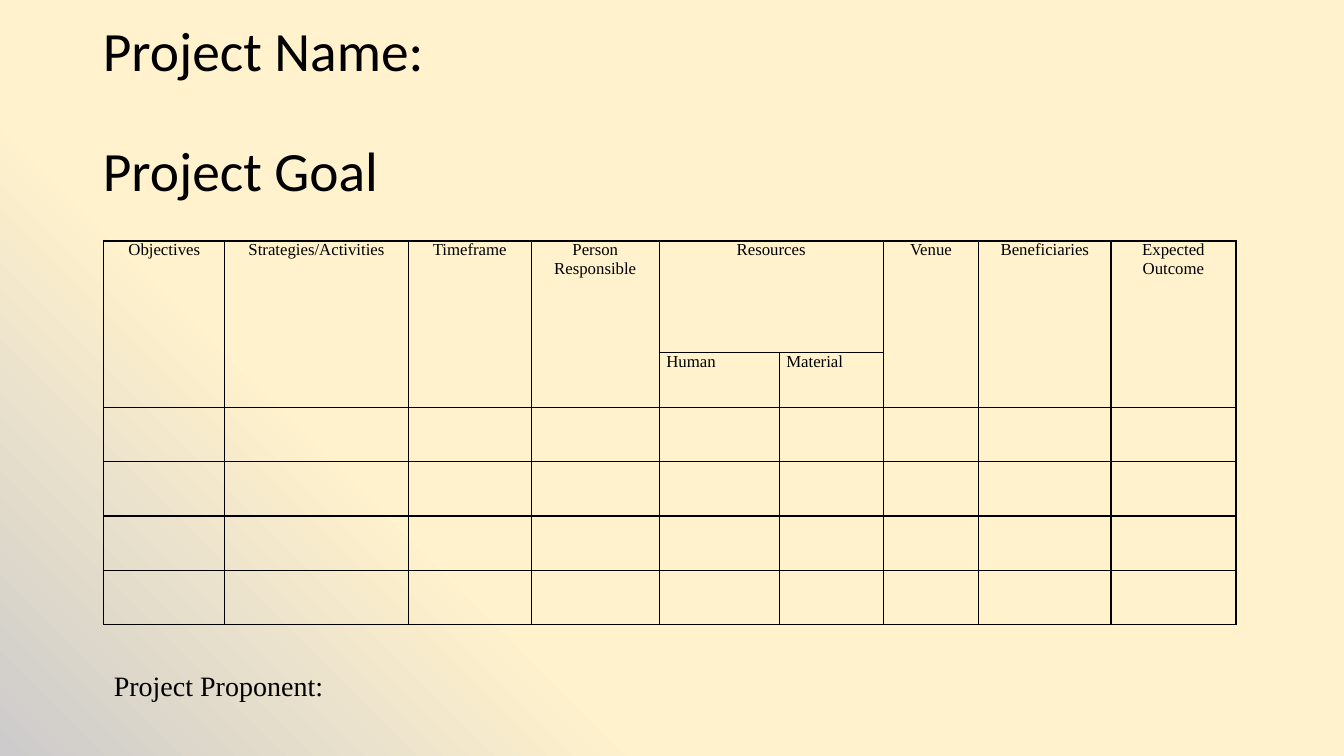
from dataclasses import dataclass

from lxml import etree
from pptx import Presentation
from pptx.dml.color import RGBColor
from pptx.enum import text
from pptx.oxml import ns
from pptx.util import Inches, Pt


@dataclass(frozen=True)
class Theme:
    """Colours, fonts and type sizes of the slide."""
    ink: str = "000000"
    cream: str = "FFF2CC"
    grey: str = "CDCBCB"
    title_font: str = "Calibri"
    body_font: str = "Times New Roman"
    title_size: float = 39.6
    table_size: float = 12
    footer_size: float = 20
    border_width: float = 1


THEME = Theme()
COLUMN_WIDTHS = [1.2, 1.82, 1.22, 1.27, 1.19, 1.03, 0.95, 1.31, 1.24]
ROW_HEIGHTS = [1.11] + [0.54] * 5
HEADINGS = {
    0: "Objectives", 1: "Strategies/Activities", 2: "Timeframe",
    3: "Person Responsible", 4: "Resources", 6: "Venue",
    7: "Beneficiaries", 8: "Expected Outcome",
}
RESOURCE_COLUMN = 4
RESOURCE_KINDS = ["Human", "Material"]


def style_runs(paragraph, font, size):
    """Apply font, size and ink colour to every run of a paragraph."""
    for run in paragraph.runs:
        run.font.name = font
        run.font.size = Pt(size)
        run.font.color.rgb = RGBColor.from_string(THEME.ink)


def paint_background(slide):
    """Fill the slide with a gradient that turns grey at the lower left."""
    fill = slide.background.fill
    fill.gradient()
    fill.gradient_angle = 225
    stops = [(0.69, THEME.cream), (1, THEME.grey)]
    for stop, (position, colour) in zip(fill.gradient_stops, stops):
        stop.position = position
        stop.color.rgb = RGBColor.from_string(colour)


def add_title(slide, lines):
    """Place the title lines, spaced one line apart."""
    title = slide.shapes.title
    title.left, title.top = Inches(0.92), Inches(0.4)
    title.width, title.height = Inches(11.5), Inches(1.45)
    frame = title.text_frame
    frame.text = "\n".join(lines)
    frame.word_wrap = True
    frame.auto_size = text.MSO_AUTO_SIZE.NONE
    frame.vertical_anchor = text.MSO_ANCHOR.MIDDLE
    for index, paragraph in enumerate(frame.paragraphs):
        paragraph.alignment = text.PP_ALIGN.LEFT
        paragraph.line_spacing = 0.9
        paragraph.space_before = Pt(43 if index else 0)
        style_runs(paragraph, THEME.title_font, THEME.title_size)


def outline_cell(cell):
    """Draw all four borders of a cell and leave it unfilled."""
    properties = cell._tc.get_or_add_tcPr()
    for side in ("a:lnL", "a:lnR", "a:lnT", "a:lnB"):
        line = etree.SubElement(properties, ns.qn(side), w=str(Pt(THEME.border_width)))
        solid = etree.SubElement(line, ns.qn("a:solidFill"))
        etree.SubElement(solid, ns.qn("a:srgbClr"), val=THEME.ink)
    cell.fill.background()


def write_cell(cell, wording, alignment):
    """Write a table heading into a cell."""
    cell.margin_left = cell.margin_right = Inches(0.07)
    cell.margin_top = cell.margin_bottom = 0
    cell.text_frame.text = wording
    paragraph = cell.text_frame.paragraphs[0]
    paragraph.alignment = alignment
    style_runs(paragraph, THEME.body_font, THEME.table_size)


def add_plan_table(slide):
    """Add the project plan grid with its two-level heading."""
    plan = slide.shapes.add_table(
        len(ROW_HEIGHTS), len(COLUMN_WIDTHS), Inches(1.03), Inches(2.39),
        Inches(sum(COLUMN_WIDTHS)), Inches(sum(ROW_HEIGHTS))).table
    plan.first_row = plan.horz_banding = False
    for column, width in zip(plan.columns, COLUMN_WIDTHS):
        column.width = Inches(width)
    for row, height in zip(plan.rows, ROW_HEIGHTS):
        row.height = Inches(height)
    for cell in plan.iter_cells():
        outline_cell(cell)
    for column, heading in HEADINGS.items():
        cell = plan.cell(0, column)
        if column == RESOURCE_COLUMN:
            cell.merge(plan.cell(0, column + 1))
        else:
            cell.merge(plan.cell(1, column))
        write_cell(cell, heading, text.PP_ALIGN.CENTER)
    for column, kind in enumerate(RESOURCE_KINDS, RESOURCE_COLUMN):
        write_cell(plan.cell(1, column), kind, text.PP_ALIGN.LEFT)


def add_proponent(slide):
    """Add the proponent line below the table."""
    proponent = slide.shapes.add_textbox(
        Inches(1.03), Inches(6.58), Inches(2.29), Inches(0.44))
    frame = proponent.text_frame
    frame.text = "Project Proponent:"
    frame.word_wrap = False
    frame.auto_size = text.MSO_AUTO_SIZE.SHAPE_TO_FIT_TEXT
    style_runs(frame.paragraphs[0], THEME.body_font, THEME.footer_size)


def main():
    """Build and save the project plan slide."""
    deck = Presentation()
    deck.slide_width, deck.slide_height = Inches(13.33), Inches(7.5)
    slide = deck.slides.add_slide(deck.slide_layouts.get_by_name("Title Only"))
    paint_background(slide)
    add_title(slide, ["Project Name:", "Project Goal"])
    add_plan_table(slide)
    add_proponent(slide)
    deck.save("out.pptx")


if __name__ == "__main__":
    main()
